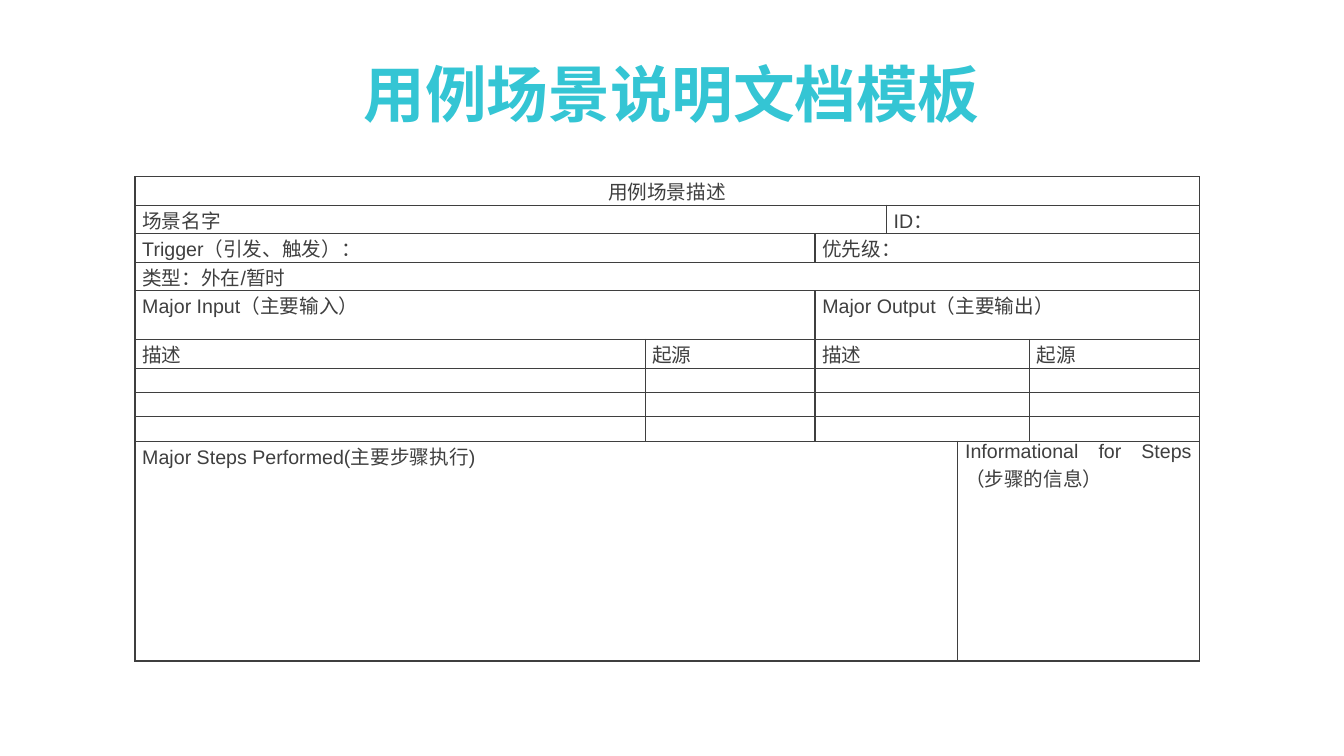
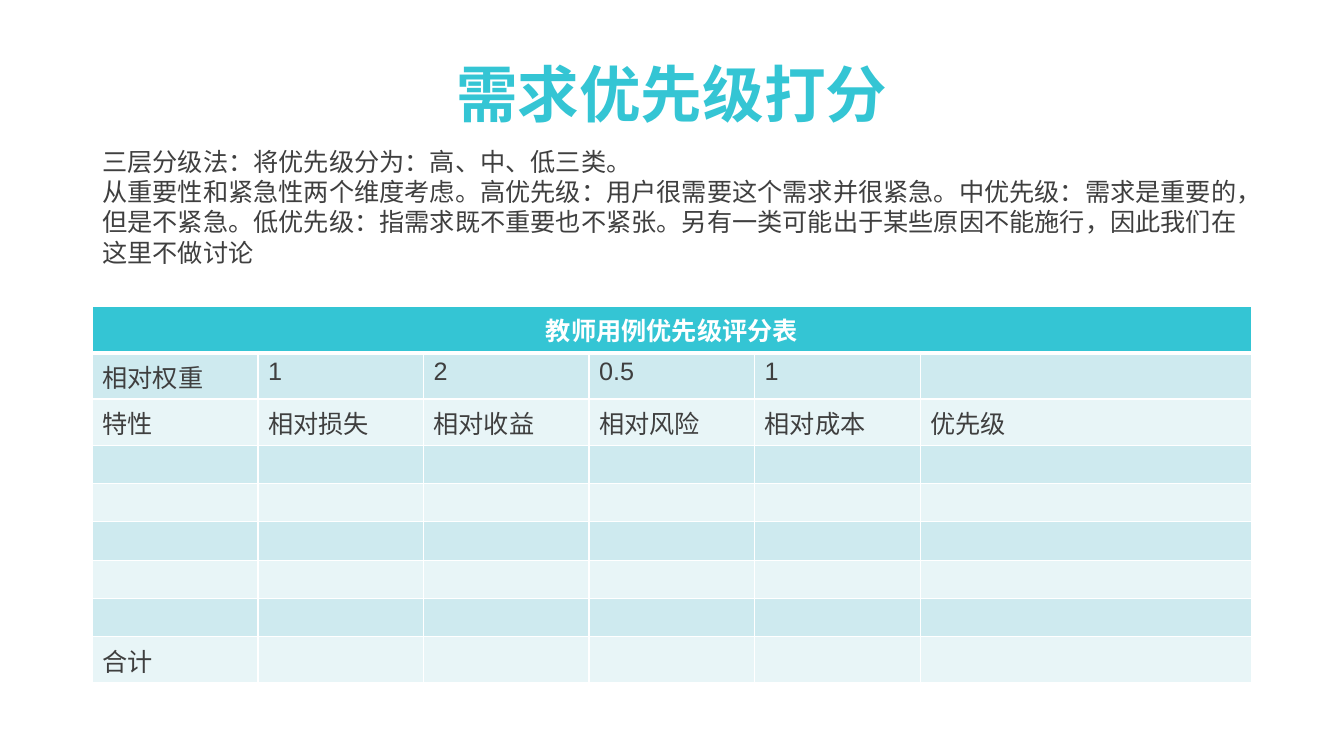
from dataclasses import dataclass
from itertools import product
from lxml.etree import SubElement
from pptx import Presentation
from pptx.dml.color import RGBColor
from pptx.enum.text import MSO_ANCHOR, PP_ALIGN
from pptx.oxml import parse_xml
from pptx.oxml.ns import nsdecls, qn
from pptx.util import Pt


@dataclass(frozen=True)
class Theme:
    font: str = "Arial"
    teal: str = "34C5D4"
    ink: str = "3F3F3F"
    white: str = "FFFFFF"
    bands: tuple = ("E8F5F7", "CEEAEF")
    title: int = 44
    body: int = 18
    small: int = 14
    thin: int = 1
    thick: int = 3


THEME = Theme()
LEFT, WIDTH = 66, 828

CASE_TITLE = "用例场景说明文档模板"
CASE_ROWS = [
    [(6, "用例场景描述")],
    [(3, "场景名字"), (3, "ID：")],
    [(2, "Trigger（引发、触发）："), (4, "优先级：")],
    [(6, "类型：外在/暂时")],
    [(2, "Major Input（主要输入）"), (4, "Major Output（主要输出）")],
    [(1, "描述"), (1, "起源"), (3, "描述"), (1, "起源")],
    *[[(1, ""), (1, ""), (3, ""), (1, "")]] * 3,
    [(4, "Major Steps Performed(主要步骤执行)"), (2, "Informational for Steps（步骤的信息）")],
]
CASE_COLS = [364.4, 121.4, 51, 51, 51, 121.4]
CASE_TALL = [20.4] * 4 + [34.7, 20.6] + [17.4] * 3 + [157]

SCORE_TITLE = "需求优先级打分"
SCORE_NOTES = [
    "三层分级法：将优先级分为：高、中、低三类。",
    "从重要性和紧急性两个维度考虑。高优先级：用户很需要这个需求并很紧急。中优先级：需求是重要的，但是不紧急。低优先级：指需求既不重要也不紧张。另有一类可能出于某些原因不能施行，因此我们在这里不做讨论",
]
SCORE_ROWS = [
    [(6, "教师用例优先级评分表")],
    [(1, text) for text in ("相对权重", "1", "2", "0.5", "1", "")],
    [(1, text) for text in ("特性", "相对损失", "相对收益", "相对风险", "相对成本", "优先级")],
    *[[(1, "")] * 6] * 5,
    [(1, text) for text in ("合计", "", "", "", "", "")],
]
SCORE_COLS = [WIDTH / 7] * 5 + [WIDTH * 2 / 7]
SCORE_TALL = [33] * 3 + [27.4] * 5 + [33]


def add_run(para, text, size, color, bold=False):
    run = para.add_run()
    run.text = text
    run.font.name = THEME.font
    run.font.size = Pt(size)
    run.font.bold = bold
    run.font.color.rgb = RGBColor.from_string(color)


def add_box(slide, top, height, lines, size, color, bold=False):
    box = slide.shapes.add_textbox(Pt(LEFT), Pt(top), Pt(WIDTH), Pt(height))
    frame = box.text_frame
    frame.word_wrap = True
    for i, line in enumerate(lines):
        para = frame.add_paragraph() if i else frame.paragraphs[0]
        add_run(para, line, size, color, bold)
    return frame


def add_title(slide, text):
    frame = add_box(slide, 28.8, 81.4, [text], THEME.title, THEME.teal, True)
    frame.vertical_anchor = MSO_ANCHOR.MIDDLE
    para = frame.paragraphs[0]
    para.alignment = PP_ALIGN.CENTER
    para.line_spacing = 0.9


def set_lines(cell, color, widths):
    props = cell._tc.get_or_add_tcPr()
    for i, (side, width) in enumerate(zip("LRTB", widths)):
        props.insert(i, parse_xml(
            f'<a:ln{side} {nsdecls("a")} w="{int(Pt(width))}"><a:solidFill>'
            f'<a:srgbClr val="{color}"/></a:solidFill></a:ln{side}>'))


def add_grid(slide, left, top, cols, tall, rows):
    frame = slide.shapes.add_table(
        len(rows), len(cols), Pt(left), Pt(top), Pt(sum(cols)), Pt(sum(tall)))
    grid = frame.table
    grid.first_row = grid.horz_banding = False
    for col, width in zip(grid.columns, cols):
        col.width = Pt(width)
    for row, height in zip(grid.rows, tall):
        row.height = Pt(height)
    for r, row in enumerate(rows):
        c = 0
        for span, text in row:
            cell = grid.cell(r, c)
            if span > 1:
                cell.merge(grid.cell(r, c + span - 1))
            yield r, c, cell, text
            c += span
    return grid


def fill_grid(slide, left, top, cols, tall, rows, size, line, banded):
    cells = add_grid(slide, left, top, cols, tall, rows)
    for r, c, cell, text in cells:
        para = cell.text_frame.paragraphs[0]
        head = r == 0
        if not banded:
            cell.margin_left = cell.margin_right = Pt(5.2)
            cell.margin_top = cell.margin_bottom = 0
            para.alignment = PP_ALIGN.JUSTIFY
        if head:
            para.alignment = PP_ALIGN.CENTER
        if text:
            strong = head and banded
            add_run(para, text, size, THEME.white if strong else THEME.ink, strong)
        else:
            SubElement(para._p, qn("a:endParaRPr"), sz=str(THEME.small * 100))
    grid = slide.shapes[-1].table
    for r, c in product(range(len(rows)), range(len(cols))):
        cell = grid.cell(r, c)
        upper = lower = THEME.thin
        if banded:
            cell.fill.solid()
            shade = THEME.bands[r % 2] if r else THEME.teal
            cell.fill.fore_color.rgb = RGBColor.from_string(shade)
            upper = THEME.thick if r == 1 else THEME.thin
            lower = THEME.thick if r == 0 else THEME.thin
        else:
            cell.fill.background()
        set_lines(cell, line, (THEME.thin, THEME.thin, upper, lower))


def main():
    deck = Presentation()
    deck.slide_width, deck.slide_height = Pt(960), Pt(540)
    blank = deck.slide_layouts[6]

    case = deck.slides.add_slide(blank)
    add_title(case, CASE_TITLE)
    fill_grid(case, 96.4, 126.2, CASE_COLS, CASE_TALL, CASE_ROWS,
              THEME.small, THEME.ink, False)

    score = deck.slides.add_slide(blank)
    add_title(score, SCORE_TITLE)
    fill_grid(score, LEFT, 219, SCORE_COLS, SCORE_TALL, SCORE_ROWS,
              THEME.body, THEME.white, True)
    add_box(score, 100.8, 94.3, SCORE_NOTES, THEME.body, THEME.ink)

    deck.save("out.pptx")


if __name__ == "__main__":
    main()
